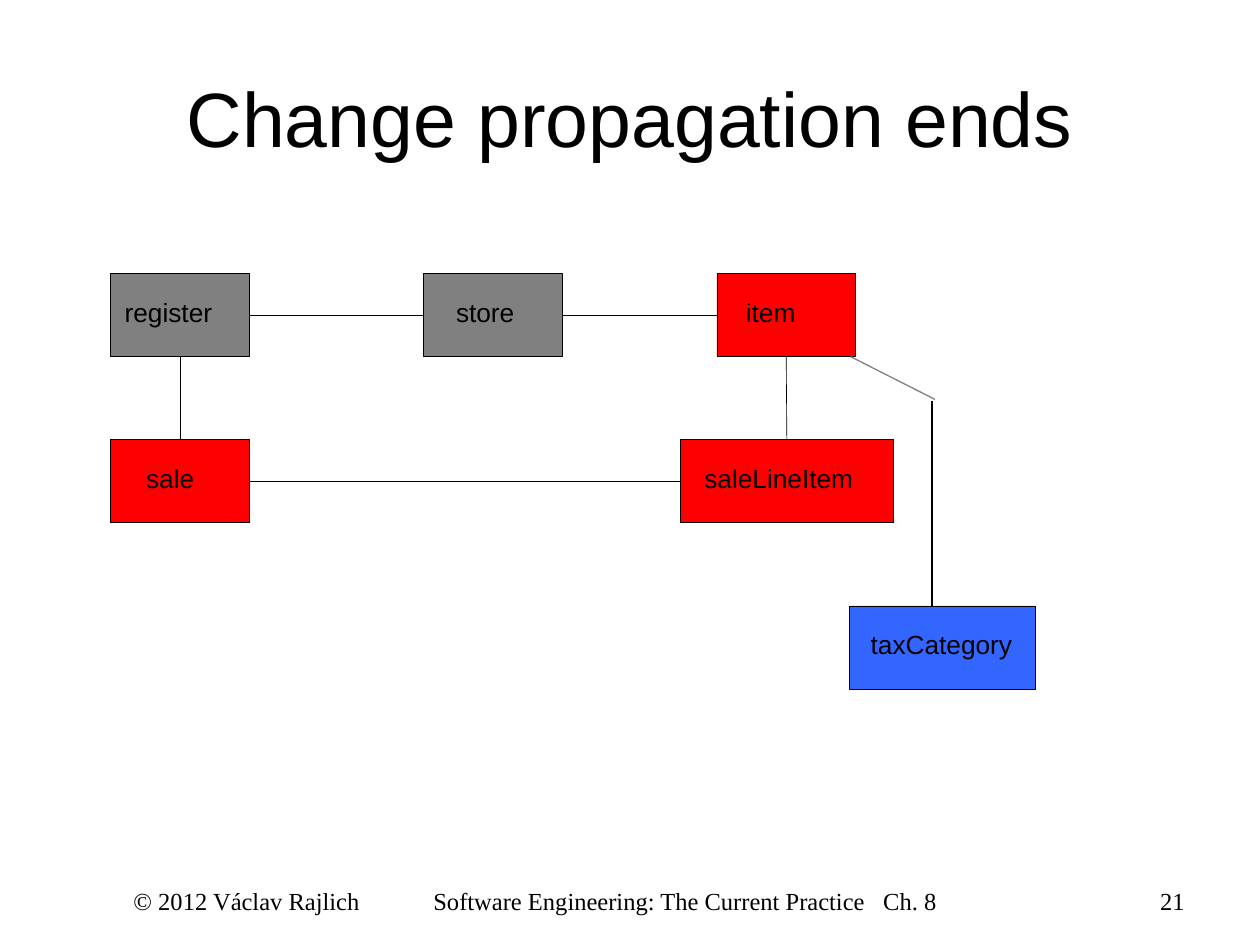
from lxml.etree import SubElement
from pptx import Presentation
from pptx.dml.color import RGBColor
from pptx.enum.shapes import MSO_CONNECTOR, MSO_SHAPE
from pptx.enum.text import MSO_ANCHOR, PP_ALIGN
from pptx.oxml.ns import qn
from pptx.util import Inches, Pt

GREY, RED, BLUE, BLACK = "808080", "FF0000", "3366FF", "000000"
FIRST_ROW, ROW_STEP, BOX_HEIGHT = 2.17, 1.32, 0.66
TOP, RIGHT, BOTTOM, LEFT = 0, 3, 2, 1


def style_text(frame, size, font, align):
    paragraph = frame.paragraphs[0]
    paragraph.alignment = align
    for run in paragraph.runs:
        run.font.size = Pt(size)
        run.font.name = font
        run.font.color.rgb = RGBColor.from_string(BLACK)


def draw_line(start, end, color=BLACK, weight=0.37):
    """Add a straight connector without shadow, points given in inches."""
    line = slide.shapes.add_connector(
        MSO_CONNECTOR.STRAIGHT, *(Inches(length) for length in (*start, *end)))
    line.line.color.rgb = RGBColor.from_string(color)
    line.line.width = Pt(weight)
    SubElement(line._element.spPr, qn("a:effectLst"))
    return line


prs = Presentation()
prs.slide_width, prs.slide_height = Inches(10), Inches(7.5)
slide = prs.slides.add_slide(prs.slide_layouts[5])

title = slide.shapes.title
title.left, title.top = Inches(0.5), Inches(0.3)
title.width, title.height = Inches(9), Inches(1.25)
title.text_frame.text = "Change propagation ends"
title.text_frame.vertical_anchor = MSO_ANCHOR.MIDDLE
style_text(title.text_frame, 44, "Arial", PP_ALIGN.CENTER)

# Class boxes: name, left, row, width, label indent, fill
classes = {}
for name, left, row, width, indent, fill in [
    ("register", 0.88, 0, 1.1, 0.11, GREY),
    ("store", 3.36, 0, 1.1, 0.26, GREY),
    ("item", 5.69, 0, 1.1, 0.23, RED),
    ("sale", 0.88, 1, 1.1, 0.28, RED),
    ("saleLineItem", 5.4, 1, 1.69, 0.19, RED),
    ("taxCategory", 6.74, 2, 1.48, 0.17, BLUE),
]:
    box = slide.shapes.add_shape(
        MSO_SHAPE.RECTANGLE, Inches(left), Inches(FIRST_ROW + row * ROW_STEP),
        Inches(width), Inches(BOX_HEIGHT))
    box.shadow.inherit = False
    box.fill.solid()
    box.fill.fore_color.rgb = RGBColor.from_string(fill)
    box.line.color.rgb = RGBColor.from_string(BLACK)
    box.line.width = Pt(0.37)
    label = box.text_frame
    label.text = name
    label.word_wrap = False
    label.vertical_anchor = MSO_ANCHOR.TOP
    label.margin_left, label.margin_top = Inches(indent), Inches(0.18)
    label.margin_right = label.margin_bottom = 0
    style_text(label, 15, "Arial", PP_ALIGN.LEFT)
    classes[name] = box

# Associations between the classes
for source, source_side, target, target_side in [
    ("register", RIGHT, "store", LEFT),
    ("store", RIGHT, "item", LEFT),
    ("register", BOTTOM, "sale", TOP),
    ("item", BOTTOM, "saleLineItem", TOP),
    ("sale", RIGHT, "saleLineItem", LEFT),
]:
    association = draw_line((0, 0), (0, 0))
    association.begin_connect(classes[source], source_side)
    association.end_connect(classes[target], target_side)

# The bent association from item to taxCategory
draw_line((7.4, 3.18), (7.4, 4.82), weight=1.13)
draw_line((6.75, 2.83), (7.42, 3.17), GREY, 0.75)

# Footer: text, left, width, left margin, alignment, tab stops
for text, left, width, margin, align, stops in [
    ("© 2012 Václav Rajlich\tSoftware Engineering: The Current Practice\tCh. 8",
     0.5, 7.5, 0.56, PP_ALIGN.LEFT, (2.38, 5.95)),
    ("21", 7.17, 2.33, 0.1, PP_ALIGN.RIGHT, ()),
]:
    footer = slide.shapes.add_textbox(
        Inches(left), Inches(6.98), Inches(width), Inches(0.52)).text_frame
    footer.word_wrap = True
    footer.margin_left = Inches(margin)
    footer.text = text
    style_text(footer, 14, "Times New Roman", align)
    if stops:
        tab_list = SubElement(
            footer.paragraphs[0]._p.get_or_add_pPr(), qn("a:tabLst"))
        for stop in stops:
            SubElement(tab_list, qn("a:tab"), pos=str(Inches(stop)), algn="l")

prs.save("out.pptx")
